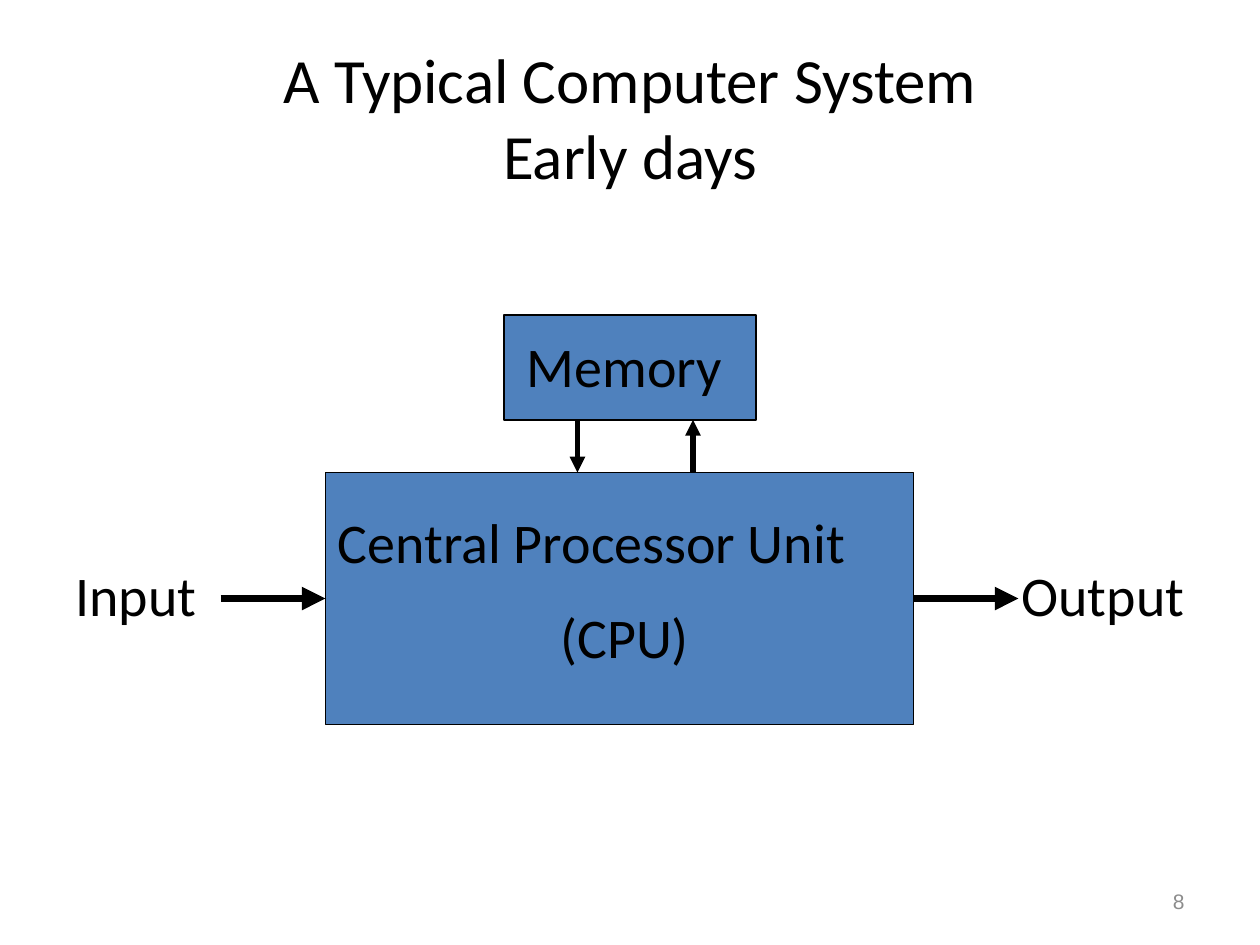
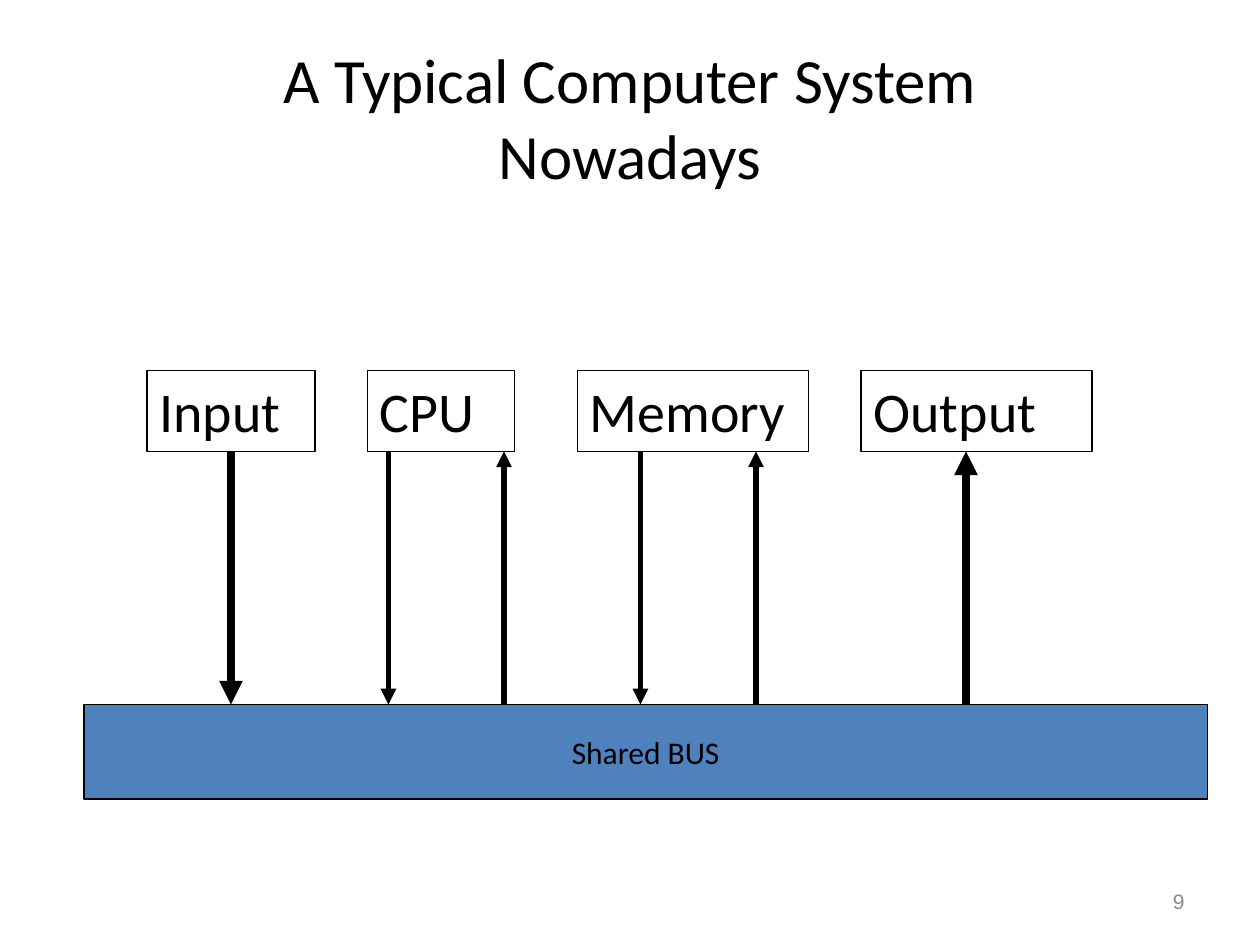
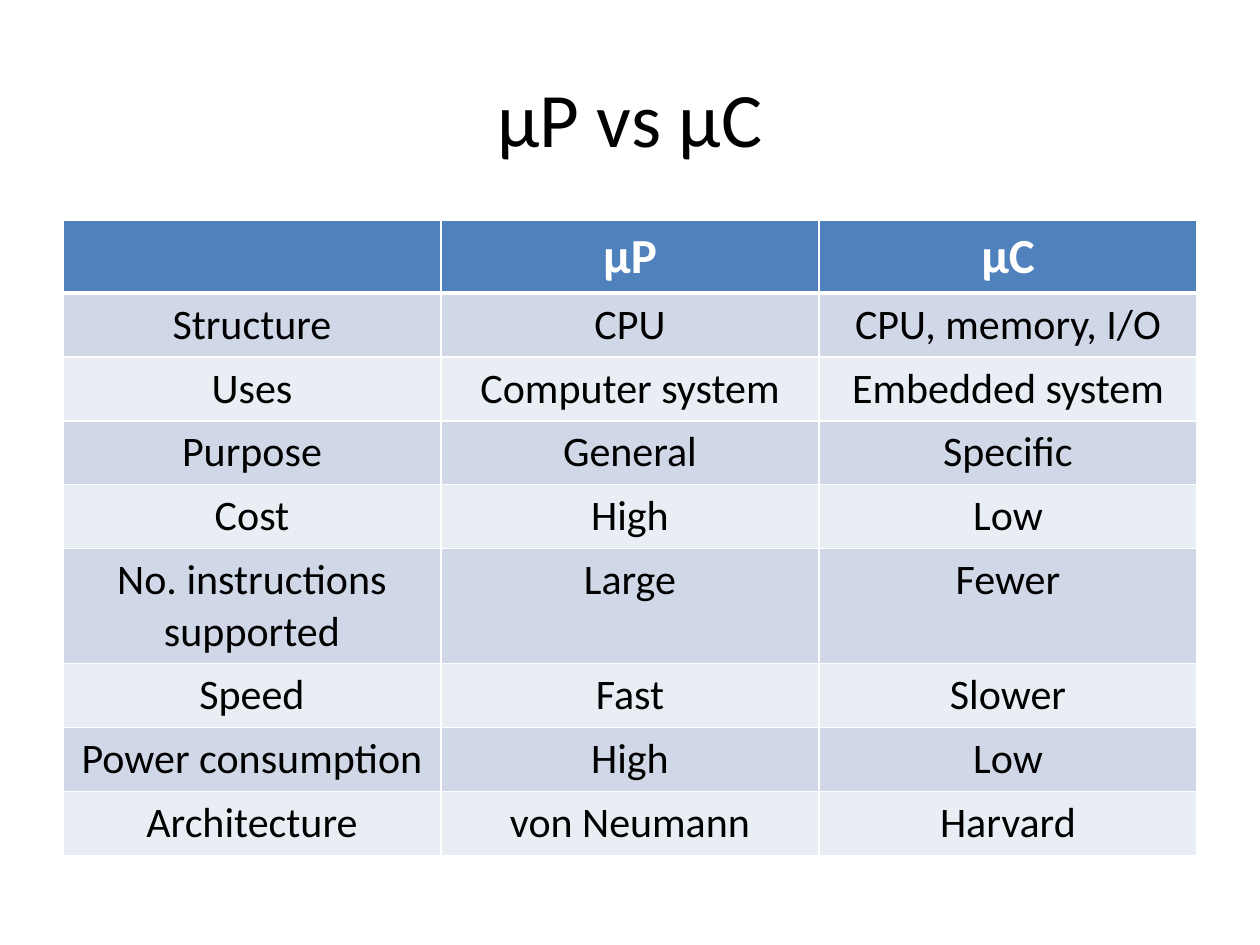
import dataclasses

import lxml.etree
import pptx
import pptx.dml.color
import pptx.enum.shapes
import pptx.enum.text
import pptx.oxml.ns
import pptx.util

ALIGN = pptx.enum.text.PP_ALIGN
ANCHOR = pptx.enum.text.MSO_ANCHOR
TITLE_ONLY = 5


@dataclasses.dataclass(frozen=True)
class Theme:
    columns: int = 120
    rows: int = 90
    width: float = 10
    height: float = 7.5
    black: str = "000000"
    white: str = "FFFFFF"
    blue: str = "4F81BD"
    grey: str = "8C8C8C"
    bands: tuple = ("D0D8E8", "E9EDF4")
    font: str = "Calibri"
    number_font: str = "Arial"
    title: int = 36
    large_title: int = 44
    label: int = 32
    bus: int = 18
    header: int = 28
    cell: int = 24
    number: int = 12
    paragraph_gap: int = 16
    outline: float = 0.75
    thin_arrow: float = 3
    thick_arrow: float = 4.5


def rgb(color):
    return pptx.dml.color.RGBColor.from_string(color)


def apply(target, values):
    for name, value in values.items():
        setattr(target, name, value)


class Deck:
    def __init__(self, theme):
        self.theme = theme
        self.presentation = pptx.Presentation()
        self.presentation.slide_width = pptx.util.Inches(theme.width)
        self.presentation.slide_height = pptx.util.Inches(theme.height)
        self.slide = None

    def x(self, columns):
        return round(self.presentation.slide_width * columns / self.theme.columns)

    def y(self, rows):
        return round(self.presentation.slide_height * rows / self.theme.rows)

    def area(self, left, top, width, height):
        return self.x(left), self.y(top), self.x(width), self.y(height)

    def fill_text(self, frame, text, size, alignments=(ALIGN.LEFT,), color=None, font=None,
                  bold=False):
        frame.text = text
        for index, (paragraph, alignment) in enumerate(zip(frame.paragraphs, alignments)):
            paragraph.alignment = alignment
            if index:
                paragraph.space_before = pptx.util.Pt(self.theme.paragraph_gap)
            apply(paragraph.font, {
                "name": font or self.theme.font,
                "size": pptx.util.Pt(size),
                "bold": bold,
            })
            paragraph.font.color.rgb = rgb(color or self.theme.black)

    def add_slide(self, title, size):
        layout = self.presentation.slide_layouts[TITLE_ONLY]
        self.slide = self.presentation.slides.add_slide(layout)
        shape = self.slide.shapes.title
        left, top, width, height = self.area(6, 3.6, 108, 15)
        apply(shape, {"left": left, "top": top, "width": width, "height": height})
        shape.text_frame.vertical_anchor = ANCHOR.MIDDLE
        self.fill_text(shape.text_frame, title, size, [ALIGN.CENTER])

    def text(self, area, text, size, anchor=ANCHOR.TOP, **style):
        shape = self.slide.shapes.add_textbox(*self.area(*area))
        apply(shape.text_frame, {"word_wrap": True, "vertical_anchor": anchor})
        self.fill_text(shape.text_frame, text, size, **style)

    def number(self, value):
        self.text((86, 83.4, 28, 4.8), str(value), self.theme.number, ANCHOR.MIDDLE,
                  alignments=[ALIGN.RIGHT], color=self.theme.grey, font=self.theme.number_font)

    def box(self, area, fill=None, text="", size=None, wrap=True, anchor=ANCHOR.TOP, **style):
        kind = pptx.enum.shapes.MSO_SHAPE.RECTANGLE
        shape = self.slide.shapes.add_shape(kind, *self.area(*area))
        shape.shadow.inherit = False
        if fill:
            shape.fill.solid()
            shape.fill.fore_color.rgb = rgb(fill)
        else:
            shape.fill.background()
        shape.line.color.rgb = rgb(self.theme.black)
        shape.line.width = pptx.util.Pt(self.theme.outline)
        if text:
            apply(shape.text_frame, {"word_wrap": wrap, "vertical_anchor": anchor})
            self.fill_text(shape.text_frame, text, size, **style)

    def arrow(self, start, end, weight):
        connector = self.slide.shapes.add_connector(
            pptx.enum.shapes.MSO_CONNECTOR.STRAIGHT,
            self.x(start[0]), self.y(start[1]), self.x(end[0]), self.y(end[1]))
        connector.line.color.rgb = rgb(self.theme.black)
        connector.line.width = pptx.util.Pt(weight)
        name = pptx.oxml.ns.qn
        properties = connector._element.spPr
        line = properties.find(name("a:ln"))
        lxml.etree.SubElement(line, name("a:tailEnd"), type="triangle")
        lxml.etree.SubElement(properties, name("a:effectLst"))

    def borders(self, cell, weights):
        name = pptx.oxml.ns.qn
        properties = cell._tc.get_or_add_tcPr()
        for side, weight in weights.items():
            line = lxml.etree.SubElement(
                properties, name(f"a:ln{side}"), w=str(pptx.util.Pt(weight)))
            fill = lxml.etree.SubElement(line, name("a:solidFill"))
            lxml.etree.SubElement(fill, name("a:srgbClr"), val=self.theme.white)

    def table(self, left, top, column_width, heights, content):
        theme = self.theme
        area = self.area(left, top, column_width * len(content[0]), sum(heights))
        table = self.slide.shapes.add_table(len(content), len(content[0]), *area).table
        for row_index, texts in enumerate(content):
            table.rows[row_index].height = self.y(heights[row_index])
            is_header = row_index == 0
            fill = theme.blue if is_header else theme.bands[(row_index - 1) % 2]
            weights = {"L": 1, "R": 1, "T": 3 if row_index == 1 else 1, "B": 3 if is_header else 1}
            for column_index, text in enumerate(texts):
                cell = table.cell(row_index, column_index)
                self.borders(cell, weights)
                cell.fill.solid()
                cell.fill.fore_color.rgb = rgb(fill)
                self.fill_text(cell.text_frame, text, theme.header if is_header else theme.cell,
                               [ALIGN.CENTER], theme.white if is_header else theme.black,
                               bold=is_header)


def early_system(deck):
    theme = deck.theme
    deck.add_slide("A Typical Computer System\vEarly days", theme.title)
    deck.box((31, 45, 56, 24), theme.blue)
    deck.box((48, 30, 24, 10), theme.blue)
    deck.text((31, 47.75, 57, 17.2), "Central Processor Unit\n(CPU)", theme.label,
              alignments=[ALIGN.LEFT, ALIGN.CENTER])
    for label, left, top, width in (
        ("Input", 6, 52.8, 16),
        ("Memory", 49, 31, 22),
        ("Output", 96.1, 52.8, 22),
    ):
        deck.text((left, top, width, 7.6), label, theme.label)
    for start, end in ((21, 31), (87, 97)):
        deck.arrow((start, 57), (end, 57), theme.thick_arrow)
    deck.arrow((55, 40), (55, 45), theme.thin_arrow)
    deck.arrow((66, 45), (66, 40), theme.thin_arrow)
    deck.number(8)


def shared_bus_system(deck):
    theme = deck.theme
    device_top, device_height, bus_top = 35.3, 7.7, 67.1
    device_bottom = device_top + device_height
    deck.add_slide("A Typical Computer System\vNowadays", theme.title)
    for label, left, width, to_bus, from_bus, weight in (
        ("Input", 14, 16, 22, None, theme.thick_arrow),
        ("CPU", 35, 14, 37, 48, theme.thin_arrow),
        ("Memory", 55, 22, 61, 72, theme.thin_arrow),
        ("Output", 82, 22, None, 92, theme.thick_arrow),
    ):
        deck.box((left, device_top, width, device_height), text=label, size=theme.label)
        if to_bus:
            deck.arrow((to_bus, device_bottom), (to_bus, bus_top), weight)
        if from_bus:
            deck.arrow((from_bus, bus_top), (from_bus, device_bottom), weight)
    deck.box((8, bus_top, 107, 9), theme.blue, "Shared BUS", theme.bus, wrap=False,
             anchor=ANCHOR.MIDDLE, alignments=[ALIGN.CENTER])
    deck.number(9)


def comparison(deck):
    deck.add_slide("μP vs μC", deck.theme.large_title)
    content = (
        ("", "μP", "μC"),
        ("Structure", "CPU", "CPU, memory, I/O"),
        ("Uses", "Computer system", "Embedded system"),
        ("Purpose", "General", "Specific"),
        ("Cost", "High", "Low"),
        ("No. instructions supported", "Large", "Fewer"),
        ("Speed", "Fast", "Slower"),
        ("Power consumption", "High", "Low"),
        ("Architecture", "von Neumann", "Harvard"),
    )
    heights = [6.8] + [6.05] * 4 + [10.9] + [6.05] * 3
    deck.table(6, 21, 36, heights, content)


def main():
    deck = Deck(Theme())
    early_system(deck)
    shared_bus_system(deck)
    comparison(deck)
    deck.presentation.save("out.pptx")


if __name__ == "__main__":
    main()
